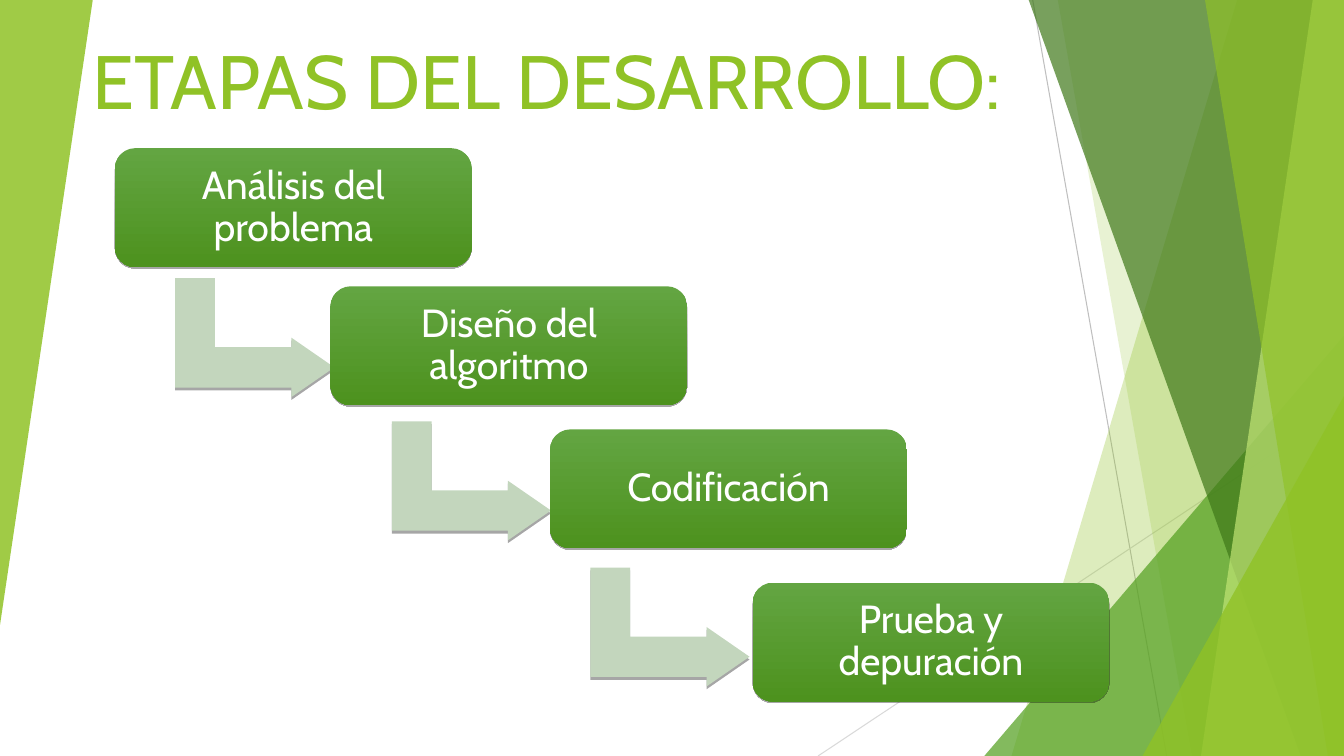
from lxml.etree import SubElement
from pptx import Presentation
from pptx.dml.color import RGBColor
from pptx.enum.shapes import MSO_CONNECTOR, MSO_SHAPE
from pptx.enum.text import MSO_ANCHOR, MSO_AUTO_SIZE, PP_ALIGN
from pptx.oxml.ns import qn
from pptx.util import Inches, Pt

LIME = RGBColor(0x90, 0xC2, 0x26)
PALE_LIME = RGBColor(0xC0, 0xE4, 0x74)
GREEN = RGBColor(0x54, 0xA0, 0x21)
DARK_GREEN = RGBColor(0x3F, 0x78, 0x19)
SAGE = RGBColor(0xC3, 0xD6, 0xBD)
STAGE_TOP = RGBColor(0x63, 0xA5, 0x42)
STAGE_BOTTOM = RGBColor(0x4D, 0x92, 0x1E)
GRAY = RGBColor(0xBF, 0xBF, 0xBF)
LIGHT_GRAY = RGBColor(0xD9, 0xD9, 0xD9)
BLACK = RGBColor(0, 0, 0)
WHITE = RGBColor(0xFF, 0xFF, 0xFF)
FONT = "Cabin"

# Positions and sizes are percentages of the slide's width and height.
HEADING = "ETAPAS DEL DESARROLLO:"
HEADING_BOX = (6.15, 0, 70.46, 20.93)
STAGES = [
    ("Análisis del problema", (8.55, 19.6), (13.04, 36.8)),
    ("Diseño del algoritmo", (24.59, 37.87), (29.16, 55.73)),
    ("Codificación", (40.93, 56.8), (43.93, 75.07)),
    ("Prueba y depuración", (56, 77.07), None),
]
STAGE_SIZE = (26.54, 15.73)
ELBOW_SIZE = (11.84, 15.73)
ELBOW = [(0, 0), (0.25, 0), (0.25, 0.58), (0.73, 0.58), (0.73, 0.5),
         (1, 0.75), (0.73, 1), (0.73, 0.92), (0, 0.92)]
RAYS = [((76.84, 0), (86.81, 100), GRAY), ((100, 53.73), (60.87, 100), LIGHT_GRAY)]
FACETS = [
    ("band", 92.05, 75.26, LIME, 30),
    ("band", 78.71, 88.68, LIME, 20),
    ("peak", 73.24, 44.4, GREEN, 72),
    ("band", 76.54, 96.78, DARK_GREEN, 70),
    ("band", 97.68, 89.36, PALE_LIME, 70),
    ("band", 89.66, 98.8, LIME, 65),
    ("peak", 85.01, 52.4, LIME, 80),
]
WEDGE_SIZE = (6.9, 82.67)

deck = Presentation()
deck.slide_width, deck.slide_height = Inches(13.34), Inches(7.5)
slide = deck.slides.add_slide(deck.slide_layouts[5])
shapes = slide.shapes


def place(x, y):
    return round(deck.slide_width * x / 100), round(deck.slide_height * y / 100)


def paint(shape, color, opacity=100):
    shape.shadow.inherit = False
    shape.line.fill.background()
    shape.fill.solid()
    shape.fill.fore_color.rgb = color
    if opacity < 100:
        tint = shape._element.spPr.find(qn("a:solidFill"))[0]
        SubElement(tint, qn("a:alpha"), val=str(opacity * 1000))


def cast_shadow(shape, distance):
    effects = shape._element.spPr.find(qn("a:effectLst"))
    shadow = SubElement(effects, qn("a:outerShdw"), blurRad="0",
                        dist=str(Pt(distance)), dir="5400000", rotWithShape="0")
    tint = SubElement(shadow, qn("a:srgbClr"), val=str(BLACK))
    SubElement(tint, qn("a:alpha"), val="35000")


def outline(points):
    corners = [place(*point) for point in points]
    builder = shapes.build_freeform(*corners[0])
    builder.add_line_segments(corners[1:], close=True)
    return builder.convert_to_shape()


def triangle(left, top, width, height):
    peak = shapes.add_shape(MSO_SHAPE.ISOSCELES_TRIANGLE,
                            *place(left, top), *place(width, height))
    peak.adjustments[0] = 1
    return peak


def write(shape, text, size, color, align, spacing=1.0, inset=0.1):
    frame = shape.text_frame
    frame.word_wrap = True
    frame.auto_size = MSO_AUTO_SIZE.NONE
    frame.vertical_anchor = MSO_ANCHOR.MIDDLE
    frame.margin_left = frame.margin_right = Inches(inset)
    paragraph = frame.paragraphs[0]
    paragraph.alignment, paragraph.line_spacing = align, spacing
    run = paragraph.add_run()
    run.text = text
    run.font.name, run.font.size = FONT, Pt(size)
    run.font.color.rgb = color


for start, end, color in RAYS:
    ray = shapes.add_connector(MSO_CONNECTOR.STRAIGHT, *place(*start), *place(*end))
    ray.line.color.rgb, ray.line.width = color, Pt(0.75)
    SubElement(ray._element.spPr, qn("a:effectLst"))

for kind, first, second, color, opacity in FACETS:
    if kind == "band":
        facet = outline([(first, 0), (100, 0), (100, 100), (second, 100)])
    else:
        facet = triangle(first, second, 100 - first, 100 - second)
    paint(facet, color, opacity)

wedge = triangle(0, 0, *WEDGE_SIZE)
wedge.rotation = 180
paint(wedge, LIME, 85)

heading = shapes.title
heading.left, heading.top = place(*HEADING_BOX[:2])
heading.width, heading.height = place(*HEADING_BOX[2:])
write(heading, HEADING, size=54, color=LIME, align=PP_ALIGN.LEFT)
shapes._spTree.append(heading._element)

for label, corner, elbow_corner in STAGES:
    if elbow_corner:
        elbow = outline([(elbow_corner[0] + x * ELBOW_SIZE[0],
                          elbow_corner[1] + y * ELBOW_SIZE[1]) for x, y in ELBOW])
        paint(elbow, SAGE)
        cast_shadow(elbow, 2)
    stage = shapes.add_shape(MSO_SHAPE.ROUNDED_RECTANGLE,
                             *place(*corner), *place(*STAGE_SIZE))
    stage.adjustments[0] = 0.17
    paint(stage, STAGE_TOP)
    stage.fill.gradient()
    stage.fill.gradient_angle = 270
    for stop, color in zip(stage.fill.gradient_stops, (STAGE_TOP, STAGE_BOTTOM)):
        stop.color.rgb = color
    cast_shadow(stage, 1)
    write(stage, label, size=28, color=WHITE, align=PP_ALIGN.CENTER,
          spacing=0.9, inset=0.17)

deck.save("out.pptx")
